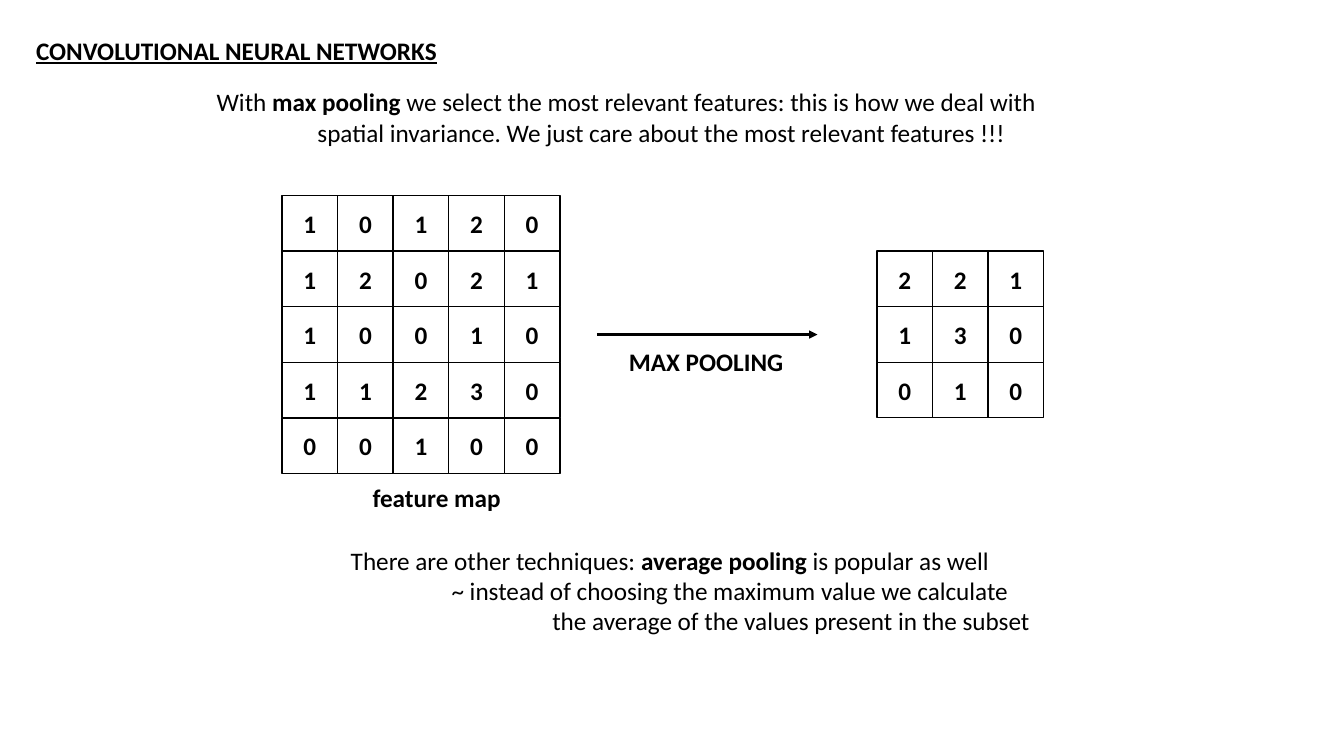
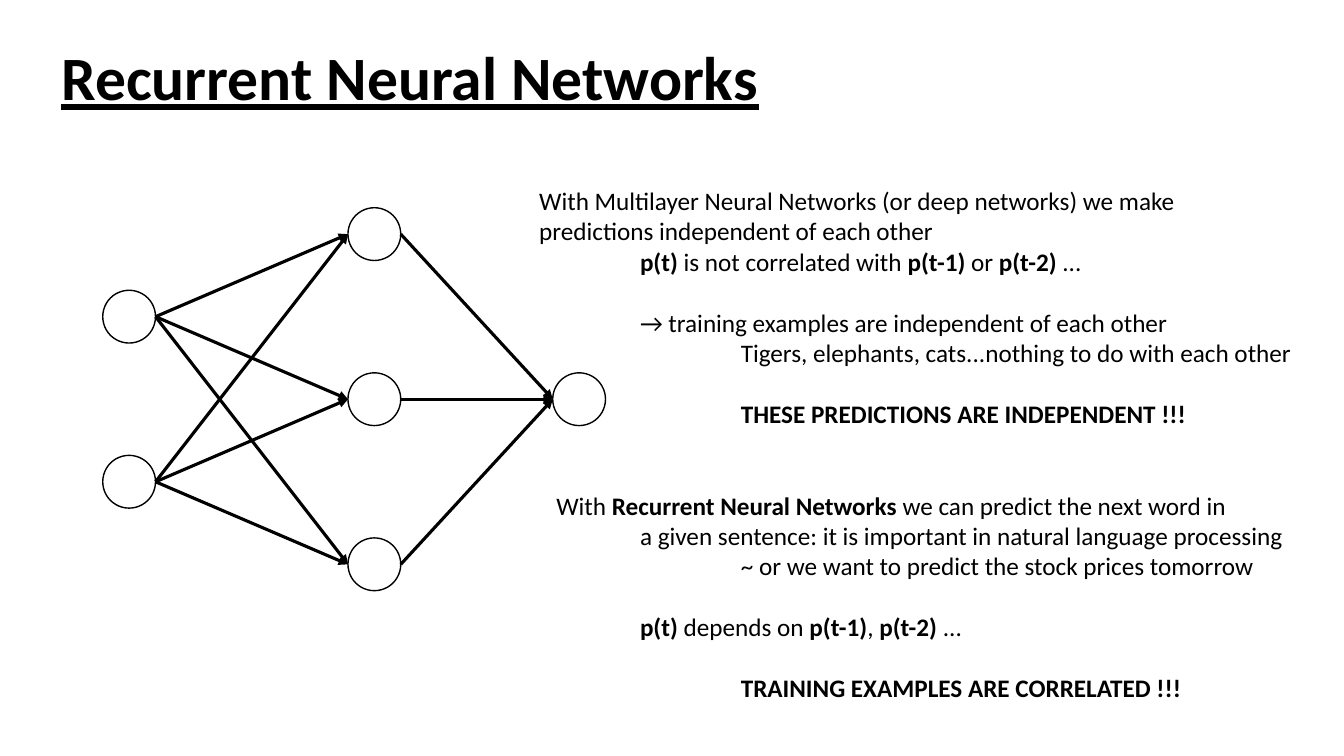
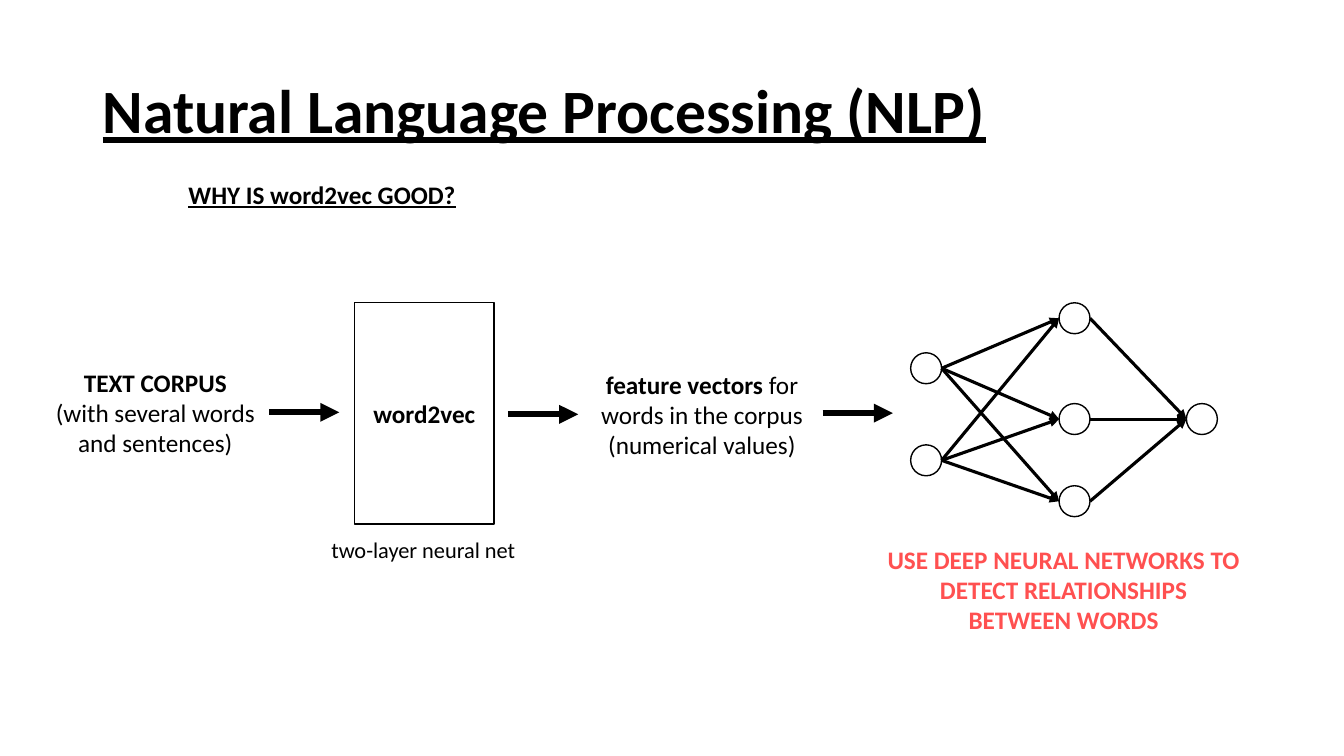
"""Build three slides on pooling, recurrent networks and word2vec."""
from collections import namedtuple
from itertools import pairwise, product

from lxml import etree
from pptx import Presentation
from pptx import util as u
from pptx.dml.color import RGBColor
from pptx.enum import shapes, text
from pptx.oxml.ns import qn

BLACK = RGBColor(0x00, 0x00, 0x00)
WHITE = RGBColor(0xFF, 0xFF, 0xFF)
CORAL = RGBColor(0xFF, 0x50, 0x50)

FONT = "Calibri"
BODY = {"name": FONT, "size": u.Pt(18)}
CAPTION = BODY | {"size": u.Pt(16)}
HEADING = BODY | {"underline": True}
TITLE = HEADING | {"size": u.Pt(44)}

LEFT = text.PP_ALIGN.LEFT
CENTER = text.PP_ALIGN.CENTER
TOP = text.MSO_ANCHOR.TOP
MIDDLE = text.MSO_ANCHOR.MIDDLE

TAB = 2.54
CELL = 1.4
ROW_GAP = 22

Line = namedtuple("Line", "words indent before", defaults=(0, 0))


def apply_format(target, values):
    """Set every named attribute of the target."""
    for name, value in values.items():
        setattr(target, name, value)


def write(frame, lines, font, align=LEFT, color=BLACK, spacing=1.0):
    """Fill a frame with lines; words between asterisks are bold."""
    for index, line in enumerate(lines):
        para = frame.paragraphs[0] if index == 0 else frame.add_paragraph()
        apply_format(para, {"alignment": align, "line_spacing": spacing,
                            "space_before": u.Pt(line.before)})
        if line.indent:
            para._p.get_or_add_pPr().set("marL", str(u.Cm(line.indent)))
        for part, words in enumerate(line.words.split("*")):
            if words:
                span = para.add_run()
                span.text = words
                apply_format(span.font, font | {"bold": part % 2 == 1})
                span.font.color.rgb = color


def add_text(page, place, lines, font=BODY, anchor=TOP, **style):
    """Add a text box at a place given in centimetres."""
    box = page.shapes.add_textbox(*map(u.Cm, place))
    apply_format(box.text_frame, {"word_wrap": True, "vertical_anchor": anchor})
    write(box.text_frame, lines, font, **style)


def add_title(page, left, top, words):
    """Add the large underlined slide title."""
    add_text(page, (left, top, 29.21, 3.68), [Line(f"*{words}*")],
             TITLE, MIDDLE, spacing=0.9)


def add_outline(page, kind, place, words="", fill=WHITE):
    """Add a thin black outline with optional centred words."""
    shape = page.shapes.add_shape(kind, *map(u.Cm, place))
    shape.shadow.inherit = False
    if fill is None:
        shape.fill.background()
    else:
        shape.fill.solid()
        shape.fill.fore_color.rgb = fill
    shape.line.color.rgb = BLACK
    shape.line.width = u.Pt(1)
    if words:
        shape.text_frame.vertical_anchor = MIDDLE
        write(shape.text_frame, [Line(f"*{words}*")], BODY, CENTER)


def add_arrow(page, start, end, width):
    """Add a straight black arrow from start to end."""
    arrow = page.shapes.add_connector(
        shapes.MSO_CONNECTOR.STRAIGHT, *map(u.Cm, (*start, *end)))
    arrow.line.color.rgb = BLACK
    arrow.line.width = u.Pt(width)
    properties = arrow.element.spPr
    etree.SubElement(properties.find(qn("a:ln")), qn("a:tailEnd"), type="triangle")
    etree.SubElement(properties, qn("a:effectLst"))


def add_matrix(page, left, top, rows, fill):
    """Draw a grid of square cells, one digit in each."""
    for row, digits in enumerate(rows):
        for column, digit in enumerate(digits):
            place = (left + column * CELL, top + row * CELL, CELL, CELL)
            add_outline(page, shapes.MSO_SHAPE.RECTANGLE, place, digit, fill)


def add_network(page, diameter, layers):
    """Draw layers of (left, centre heights) and link neighbouring layers."""
    for left, centers in layers:
        for center in centers:
            place = (left, center - diameter / 2, diameter, diameter)
            add_outline(page, shapes.MSO_SHAPE.OVAL, place)
    for (left, starts), (right, ends) in pairwise(layers):
        for start, end in product(starts, ends):
            add_arrow(page, (left + diameter, start), (right, end), 2.25)


def build_pooling(page):
    """Show max pooling from a feature map to a smaller matrix."""
    add_text(page, (0.66, 0.76, 10.72, 1.02),
             [Line("*CONVOLUTIONAL NEURAL NETWORKS*")], HEADING)
    add_text(page, (5.21, 2.06, 21.46, 1.8), [
        Line("With *max pooling* we select the most relevant features: "
             "this is how we deal with"),
        Line("spatial invariance. We just care about the most relevant features !!!",
             TAB)])
    add_matrix(page, 7.11, 4.93, ["10120", "12021", "10010", "11230", "00100"], WHITE)
    add_text(page, (9.14, 12.04, 3.86, 1.02), [Line("*feature map*")])
    add_arrow(page, (15.04, 8.43), (20.6, 8.43), 1.5)
    add_text(page, (15.6, 8.59, 4.45, 1.02), [Line("*MAX POOLING*")])
    add_matrix(page, 22.1, 6.33, ["221", "130", "010"], None)
    add_text(page, (8.59, 13.61, 18.47, 2.57), [
        Line("There are other techniques: *average pooling* is popular as well"),
        Line("~ instead of choosing the maximum value we calculate", TAB),
        Line("the average of the values present in the subset", 2 * TAB)])


def build_recurrent(page):
    """Contrast independent predictions with correlated ones."""
    add_title(page, 1.3, 0.2, "Recurrent Neural Networks")
    add_network(page, 1.33, [(2.59, (7.98, 12.14)),
                             (8.77, (5.9, 10.06, 14.22)),
                             (13.93, (10.06,))])
    add_text(page, (13.34, 4.55, 19.69, 13.34), [
        Line("With Multilayer Neural Networks (or deep networks) we make"),
        Line("predictions independent of each other"),
        Line("*p(t)* is not correlated with *p(t-1)* or *p(t-2)* ...", TAB),
        Line("→ training examples are independent of each other", TAB, ROW_GAP),
        Line("Tigers, elephants, cats...nothing to do with each other", 2 * TAB),
        Line("*THESE PREDICTIONS ARE INDEPENDENT !!!*", 2 * TAB, ROW_GAP),
        Line("With *Recurrent Neural Networks* we can predict the next word in",
             0.43, 2 * ROW_GAP),
        Line("a given sentence: it is important in natural language processing", TAB),
        Line("~ or we want to predict the stock prices tomorrow", 2 * TAB),
        Line("*p(t)* depends on *p(t-1)*, *p(t-2)* ...", TAB, ROW_GAP),
        Line("*TRAINING EXAMPLES ARE CORRELATED !!!*", 2 * TAB, ROW_GAP)])


def build_language(page):
    """Show the path from a text corpus through word2vec to a deep network."""
    add_title(page, 2.34, 1.02, "Natural Language Processing (NLP)")
    add_text(page, (4.5, 4.39, 7.32, 1.02), [Line("*WHY IS word2vec GOOD?*")], HEADING)
    add_text(page, (0.74, 9.12, 6.35, 2.57), [
        Line("*TEXT CORPUS*"),
        Line("(with several words and sentences)")], align=CENTER)
    add_outline(page, shapes.MSO_SHAPE.RECTANGLE, (8.94, 7.62, 3.51, 5.59),
                "word2vec", None)
    add_text(page, (8.1, 13.39, 5.5, 0.94), [Line("two-layer neural net")], CAPTION)
    for left, height in ((6.78, 10.39), (12.8, 10.44), (20.73, 10.41)):
        add_arrow(page, (left, height), (left + 1.77, height), 4.5)
    add_text(page, (14.86, 9.17, 5.66, 2.57), [
        Line("*feature vectors* for"),
        Line("words in the corpus"),
        Line("(numerical values)")], align=CENTER)
    add_text(page, (22.07, 13.59, 9.47, 2.57), [
        Line("*USE DEEP NEURAL NETWORKS TO*"),
        Line("*DETECT RELATIONSHIPS*"),
        Line("*BETWEEN WORDS*")], align=CENTER, color=CORAL)
    add_network(page, 0.78, [(22.95, (9.28, 11.6)),
                             (26.69, (8.02, 10.56, 12.63)),
                             (29.9, (10.56,))])


def main():
    """Build the deck and save it."""
    deck = Presentation()
    apply_format(deck, {"slide_width": u.Cm(33.87), "slide_height": u.Cm(19.05)})
    for build in (build_pooling, build_recurrent, build_language):
        build(deck.slides.add_slide(deck.slide_layouts[6]))
    deck.save("out.pptx")


if __name__ == "__main__":
    main()
